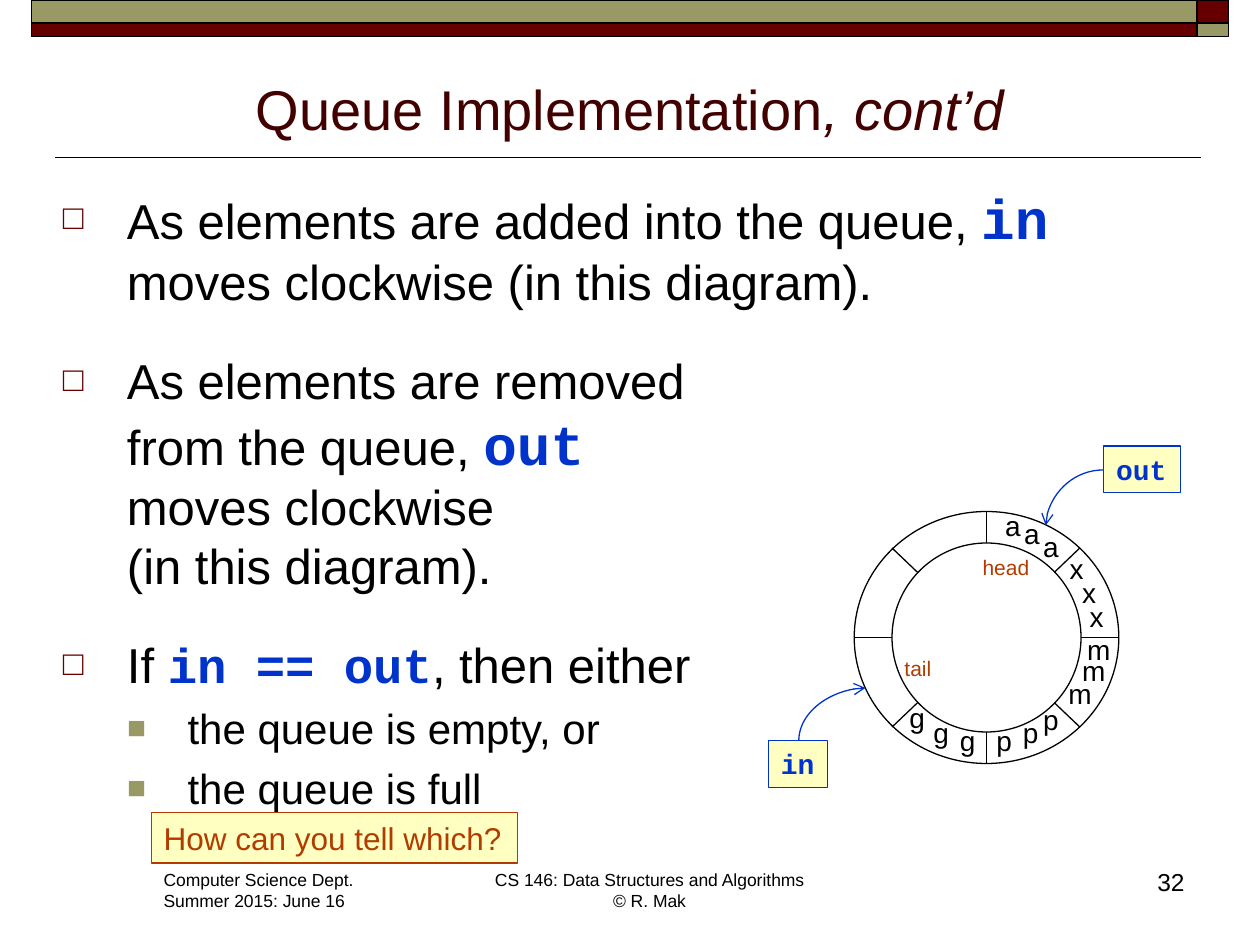
import pptx
import pptx.util
import pptx.dml.color
import pptx.enum.shapes
import pptx.enum.text
import pptx.oxml
import pptx.oxml.ns
from pptx.util import Inches

COLORS = {"black": "000000", "white": "FFFFFF", "maroon": "660000", "olive": "999966",
          "title": "420000", "blue": "0033CC", "rust": "B23C00", "cream": "FFFFC2"}
SHAPE = pptx.enum.shapes.MSO_SHAPE
CONNECTOR = pptx.enum.shapes.MSO_CONNECTOR
ALIGN = pptx.enum.text.PP_ALIGN
ANCHOR = pptx.enum.text.MSO_ANCHOR
AUTO = pptx.enum.text.MSO_AUTO_SIZE


def rgb(name):
    return pptx.dml.color.RGBColor.from_string(COLORS[name])


def add_xml(parent, tag, **attrs):
    el = pptx.oxml.parse_xml(f"<a:{tag} {pptx.oxml.ns.nsdecls('a')}/>")
    for key, value in attrs.items():
        el.set(key, value)
    parent.append(el)
    return el


def style(size, color="black", name="Arial", **extra):
    return {"size": size, "color": color, "name": name, **extra}


class SlideBuilder:
    STYLES = {
        "title": style(32, "title"),
        "title_italic": style(32, "title", italic=True),
        "body": style(28),
        "sub": style(24),
        "code": style(28, "blue", "Courier New", bold=True),
        "code_big": style(32, "blue", "Courier New", bold=True),
        "code_label": style(16, "blue", "Courier New", bold=True),
        "letter": style(16),
        "note": style(12, "rust"),
        "question": style(18, "rust"),
        "footer": style(10),
        "number": style(14),
    }

    def __init__(self, slide):
        self.slide = slide

    def add_runs(self, p, runs):
        """Fill a paragraph with (text, style) runs; a newline is a line break."""
        for text, key in runs:
            for i, part in enumerate(text.split("\n")):
                if i:
                    p.add_line_break()
                if not part:
                    continue
                r = p.add_run()
                r.text = part
                for attr, value in self.STYLES[key].items():
                    if attr == "color":
                        r.font.color.rgb = rgb(value)
                    else:
                        setattr(r.font, attr, pptx.util.Pt(value) if attr == "size" else value)

    def shape(self, kind, x, y, w, h, fill=None, line="black", width=0.75):
        sp = self.slide.shapes.add_shape(kind, Inches(x), Inches(y), Inches(w), Inches(h))
        sp.shadow.inherit = False
        if fill:
            sp.fill.solid()
            sp.fill.fore_color.rgb = rgb(fill)
        else:
            sp.fill.background()
        sp.line.color.rgb = rgb(line)
        sp.line.width = pptx.util.Pt(width)
        return sp

    def text(self, x, y, w, h, paragraphs, align=ALIGN.LEFT, wrap=False, anchor=ANCHOR.TOP, sp=None):
        sp = sp or self.slide.shapes.add_textbox(Inches(x), Inches(y), Inches(w), Inches(h))
        tf = sp.text_frame
        frame = {"word_wrap": wrap, "vertical_anchor": anchor,
                 "auto_size": AUTO.NONE if wrap else AUTO.SHAPE_TO_FIT_TEXT}
        for attr, value in frame.items():
            setattr(tf, attr, value)
        for i, runs in enumerate(paragraphs):
            p = tf.add_paragraph() if i else tf.paragraphs[0]
            p.alignment = align
            self.add_runs(p, runs)
        return tf

    def label(self, x, y, w, h, text, key, line):
        sp = self.shape(SHAPE.RECTANGLE, x, y, w, h, "cream", line)
        self.text(x, y, w, h, [[(text, key)]], sp=sp)

    def bullet(self, p, char, color, percent, left, hang, before):
        pPr = p._p.get_or_add_pPr()
        pPr.set("marL", str(Inches(left)))
        pPr.set("indent", str(-Inches(hang)))
        add_xml(add_xml(pPr, "buClr"), "srgbClr", val=COLORS[color])
        add_xml(pPr, "buSzPct", val=str(percent * 1000))
        add_xml(pPr, "buFont", typeface="Arial")
        add_xml(pPr, "buChar", char=char)
        if before:
            p.space_before = pptx.util.Pt(before)

    def line(self, x1, y1, x2, y2, color="black", width=0.75, kind=CONNECTOR.STRAIGHT):
        cn = self.slide.shapes.add_connector(kind, Inches(x1), Inches(y1), Inches(x2), Inches(y2))
        cn.line.color.rgb = rgb(color)
        cn.line.width = pptx.util.Pt(width)
        add_xml(cn._element.spPr, "effectLst")
        return cn

    def curve(self, x1, y1, x2, y2, arrow_end):
        """Quarter curve that leaves sideways and arrives vertically."""
        cn = self.line(x1, y1, x2, y2, "blue", kind=CONNECTOR.CURVE)
        cn._element.spPr.prstGeom.set("prst", "curvedConnector2")
        add_xml(cn._element.spPr.get_or_add_ln(), arrow_end, type="arrow")


def main():
    prs = pptx.Presentation()
    prs.slide_width, prs.slide_height = Inches(10), Inches(7.5)
    b = SlideBuilder(prs.slides.add_slide(prs.slide_layouts[6]))

    # Top band and title rule
    b.line(9.53, 1.25, 0.44, 1.25, width=1)
    for y, h, wide, corner in [(0, 0.18, "olive", "maroon"), (0.18, 0.11, "maroon", "olive")]:
        b.shape(SHAPE.RECTANGLE, 0.25, y, 9.25, h, wide, width=1)
        b.shape(SHAPE.RECTANGLE, 9.5, y, 0.25, h, corner, width=1)

    # Footer
    b.text(1.2, 6.85, 1.73, 0.44, [[("Computer Science Dept.", "footer")],
                                   [("Summer 2015: June 16", "footer")]])
    b.text(3.82, 6.85, 2.67, 0.44,
           [[("CS 146: Data Structures and Algorithms\n© R. Mak", "footer")]], ALIGN.CENTER)
    b.text(7.42, 6.83, 2.08, 0.5, [[("32", "number")]], ALIGN.RIGHT, wrap=True)

    # Title
    b.text(0.5, 0.45, 9, 0.72, [[("Queue Implementation", "title"), (", cont’d", "title_italic")]],
           ALIGN.CENTER, wrap=True, anchor=ANCHOR.BOTTOM)

    # Bulleted text
    tf = b.text(0.4, 1.32, 9.2, 5.33, [
        [("As elements are added into the queue, ", "body"), ("in", "code_big"),
         (" moves clockwise (in this diagram).", "body")],
        [("As elements are removed\nfrom the queue, ", "body"), ("out", "code_big"),
         (" \nmoves clockwise\n(in this diagram).", "body")],
        [("If ", "body"), ("in == out", "code"), (", then either", "body")],
        [("the queue is empty, or", "sub")],
        [("the queue is full", "sub")],
    ], wrap=True)
    tf.margin_top = Inches(0.14)
    for i, p in enumerate(tf.paragraphs):
        if i < 3:
            b.bullet(p, "□", "maroon", 70, 0.51, 0.51, 23 if i else 0)
        else:
            p.level = 1
            b.bullet(p, "■", "olive", 75, 0.99, 0.48, 5.5)
    b.label(1.2, 6.45, 2.91, 0.4, "How can you tell which?", "question", "rust")

    # Ring with eight cells
    b.shape(SHAPE.OVAL, 6.78, 4.06, 2.1, 2)
    for ends in [(7.83, 4.06, 7.83, 6.06), (8.57, 4.35, 7.08, 5.77),
                 (7.08, 4.35, 8.57, 5.77), (8.88, 5.06, 6.78, 5.06)]:
        b.line(*ends)
    b.shape(SHAPE.OVAL, 7.08, 4.31, 1.5, 1.5, "white")

    # Letters in the filled cells
    cells = {
        "a": (0.33, [(7.88, 3.99), (8.03, 4.05), (8.18, 4.15)]),
        "x": (0.31, [(8.39, 4.33), (8.49, 4.52), (8.55, 4.71)]),
        "m": (0.39, [(8.53, 4.97), (8.49, 5.14), (8.38, 5.32)]),
        "p": (0.33, [(8.18, 5.53), (8.02, 5.63), (7.81, 5.69)]),
        "g": (0.33, [(7.12, 5.51), (7.31, 5.63), (7.52, 5.69)]),
    }
    for letter, (w, spots) in cells.items():
        for x, y in spots:
            b.text(x, y, w, 0.37, [[(letter, "letter")]])

    # Pointers into the ring
    b.label(6.1, 5.88, 0.47, 0.37, "in", "code_label", "blue")
    b.label(8.76, 3.54, 0.61, 0.37, "out", "code_label", "blue")
    b.curve(8.76, 3.73, 8.3, 4.17, "tailEnd")
    b.curve(6.87, 5.46, 6.34, 5.88, "headEnd")
    b.text(7.08, 5.15, 0.42, 0.3, [[("tail", "note")]])
    b.text(7.7, 4.35, 0.58, 0.3, [[("head", "note")]])

    prs.save("out.pptx")


if __name__ == "__main__":
    main()
